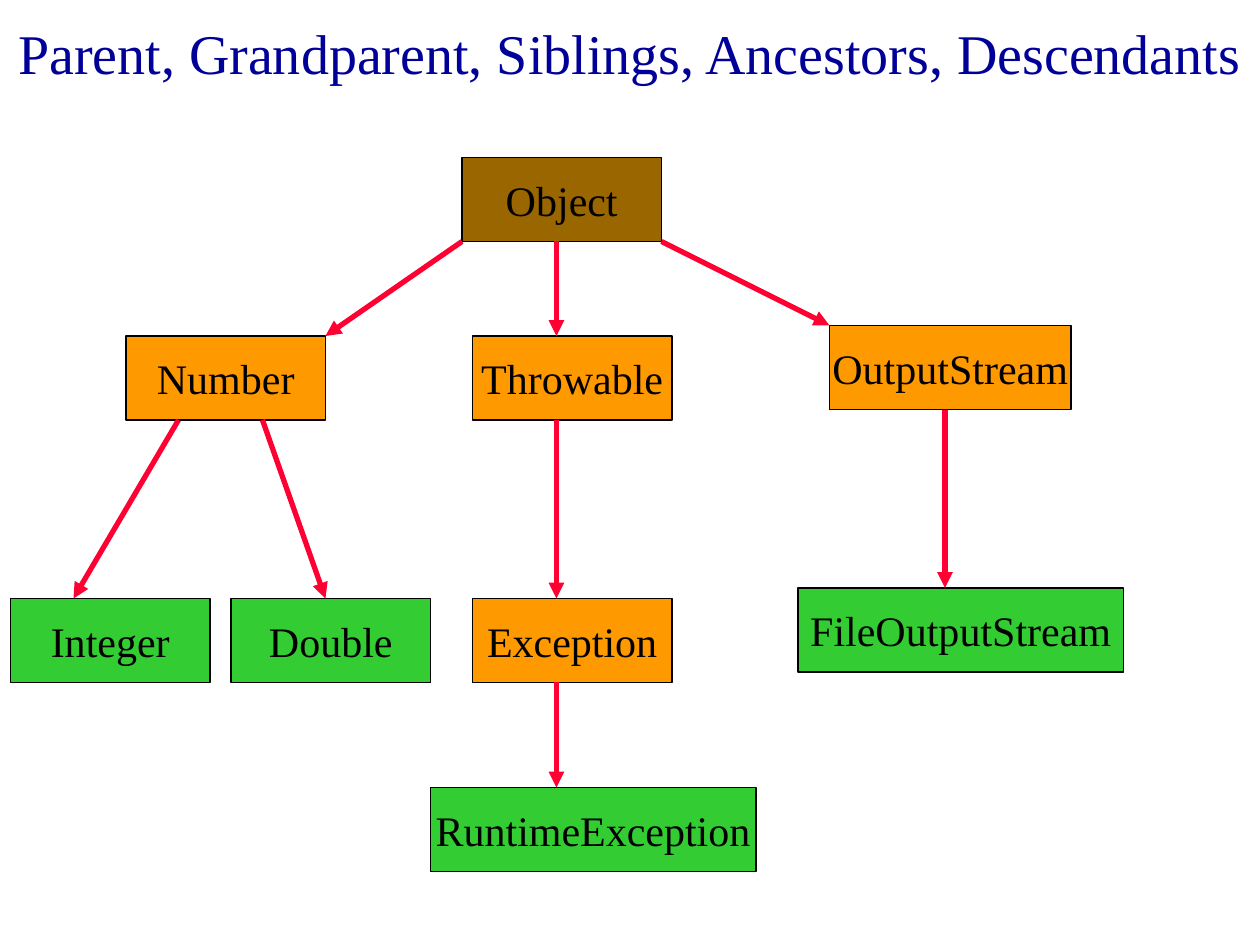
import pptx
import pptx.dml.color
import pptx.enum.shapes
import pptx.enum.text
import pptx.oxml
import pptx.oxml.ns
import pptx.util

PX = 7620  # EMU per px, at 120 px to the inch
BOX_HEIGHT = 80
ROOT, BRANCH, LEAF = "996600", "FF9900", "33CC33"

# name: (left, top, width, fill)
CLASSES = {
    "Object": (440, 150, 190, ROOT),
    "Number": (120, 320, 190, BRANCH),
    "Throwable": (450, 320, 190, BRANCH),
    "OutputStream": (790, 310, 230, BRANCH),
    "Integer": (10, 570, 190, LEAF),
    "Double": (220, 570, 190, LEAF),
    "Exception": (450, 570, 190, BRANCH),
    "FileOutputStream": (760, 560, 310, LEAF),
    "RuntimeException": (410, 750, 310, LEAF),
}

# (parent, x at its bottom edge, child, x at its top edge)
INHERITANCE = [
    ("Object", 530, "Throwable", 530),
    ("Object", 440, "Number", 310),
    ("Object", 630, "OutputStream", 790),
    ("Number", 170, "Integer", 70),
    ("Number", 250, "Double", 310),
    ("Throwable", 530, "Exception", 530),
    ("OutputStream", 900, "FileOutputStream", 900),
    ("Exception", 530, "RuntimeException", 530),
]


def rgb(hex_color):
    return pptx.dml.color.RGBColor.from_string(hex_color)


class Painter:
    """Holds the style and the current slide."""

    font = "Times New Roman"
    title_color, text_color = "000099", "000000"
    outline_color, arrow_color = "000000", "FF0033"
    title_size, box_size = 32, 24

    def __init__(self, page):
        self.page = page

    def centred_text(self, shape, text, size, color, wrap):
        frame = shape.text_frame
        frame.word_wrap = wrap
        frame.vertical_anchor = pptx.enum.text.MSO_ANCHOR.MIDDLE
        para = frame.paragraphs[0]
        para.alignment = pptx.enum.text.PP_ALIGN.CENTER
        span = para.add_run()
        span.text = text
        span.font.name = self.font
        span.font.size = pptx.util.Pt(size)
        span.font.color.rgb = rgb(color)

    def title(self, text, left, top, width, height):
        box = self.page.shapes.add_textbox(left * PX, top * PX, width * PX, height * PX)
        self.centred_text(box, text, self.title_size, self.title_color, True)

    def class_box(self, name, left, top, width, fill):
        box = self.page.shapes.add_shape(
            pptx.enum.shapes.MSO_SHAPE.RECTANGLE,
            left * PX, top * PX, width * PX, BOX_HEIGHT * PX)
        box.shadow.inherit = False
        box.fill.solid()
        box.fill.fore_color.rgb = rgb(fill)
        box.line.color.rgb = rgb(self.outline_color)
        box.line.width = pptx.util.Pt(1)
        self.centred_text(box, name, self.box_size, self.text_color, False)

    def arrow(self, x1, y1, x2, y2):
        connector = self.page.shapes.add_connector(
            pptx.enum.shapes.MSO_CONNECTOR.STRAIGHT,
            x1 * PX, y1 * PX, x2 * PX, y2 * PX)
        connector.line.color.rgb = rgb(self.arrow_color)
        connector.line.width = pptx.util.Pt(3)
        namespace = pptx.oxml.ns.nsdecls("a")
        properties = connector._element.spPr
        properties.find(pptx.oxml.ns.qn("a:ln")).append(
            pptx.oxml.parse_xml(f'<a:tailEnd {namespace} type="triangle"/>'))
        properties.append(pptx.oxml.parse_xml(f"<a:effectLst {namespace}/>"))


def main():
    deck = pptx.Presentation()
    deck.slide_width, deck.slide_height = 1200 * PX, 900 * PX
    painter = Painter(deck.slides.add_slide(deck.slide_layouts[6]))

    painter.title("Parent, Grandparent, Siblings, Ancestors, Descendants",
                  0, 0, 1200, 100)
    for name, place in CLASSES.items():
        painter.class_box(name, *place)
    for parent, parent_x, child, child_x in INHERITANCE:
        bottom = CLASSES[parent][1] + BOX_HEIGHT
        painter.arrow(parent_x, bottom, child_x, CLASSES[child][1])

    deck.save("out.pptx")


if __name__ == "__main__":
    main()
